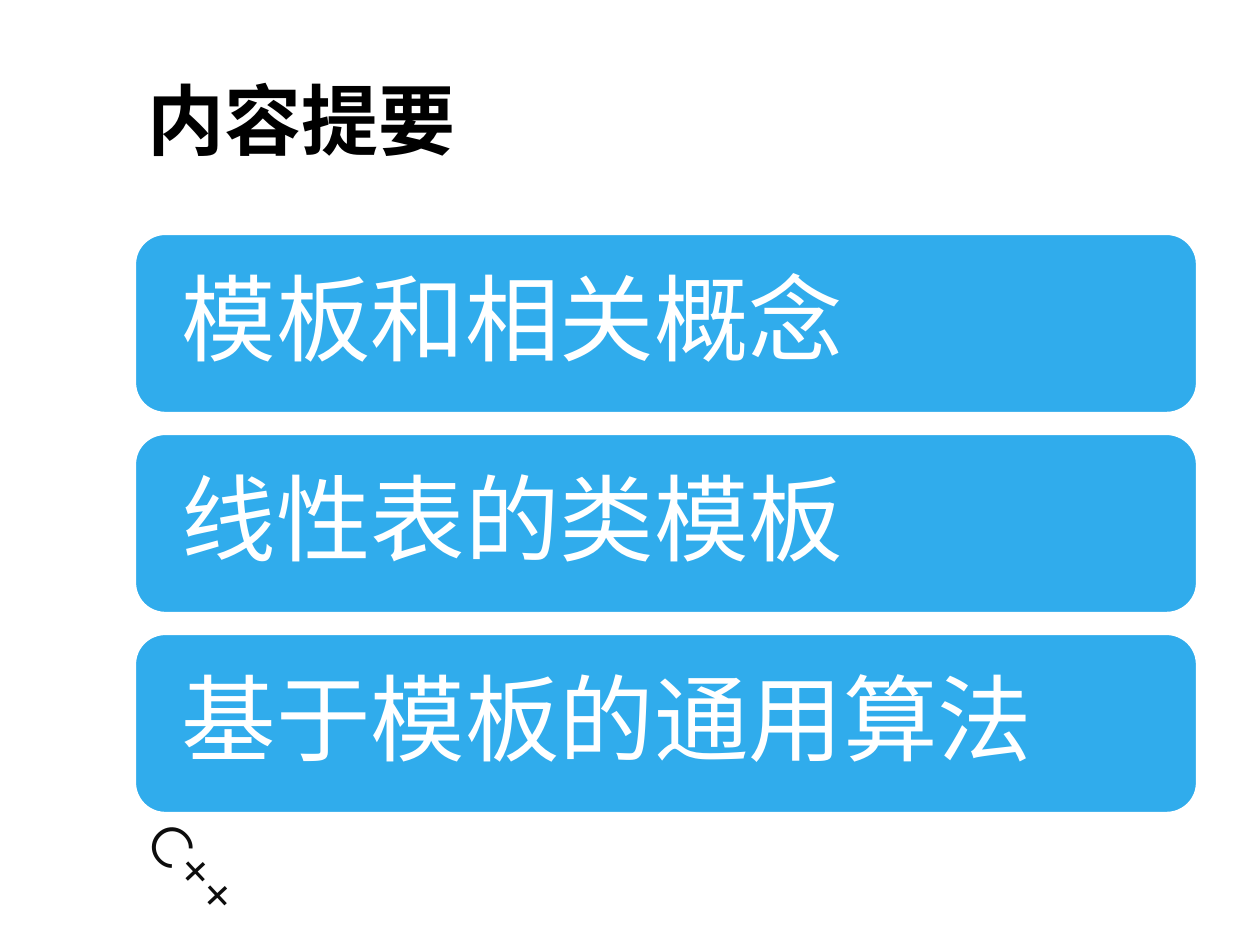
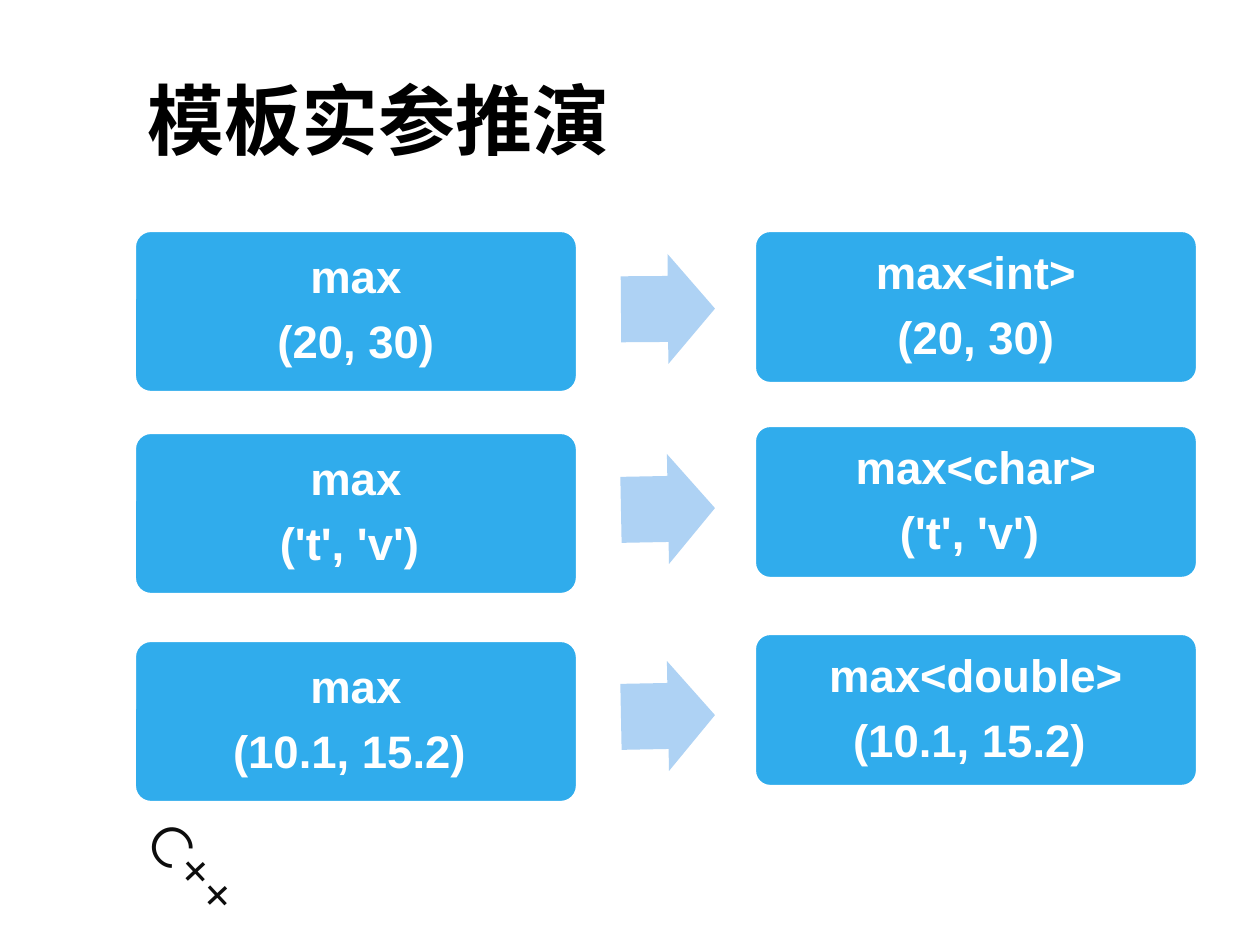
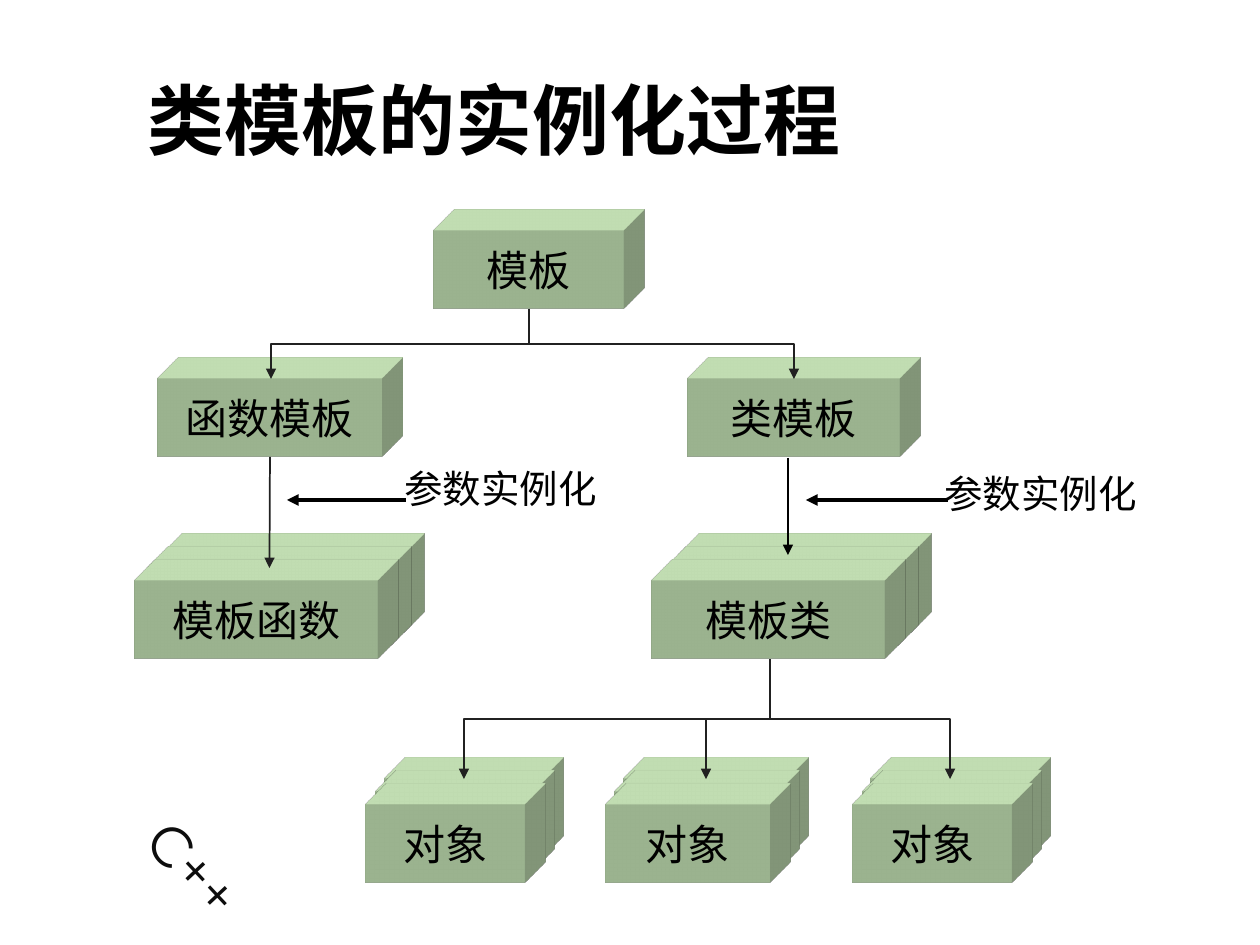
from pptx import Presentation
from pptx.dml.color import RGBColor
from pptx.enum.shapes import MSO_CONNECTOR, MSO_SHAPE
from pptx.enum.text import MSO_ANCHOR, PP_ALIGN
from pptx.oxml import parse_xml
from pptx.oxml.ns import nsdecls
from pptx.util import Emu, Pt

PX_PER_INCH = 126
BLACK, WHITE, INK, WIRE = "000000", "FFFFFF", "0D0D0D", "212121"
BLUE, PALE_BLUE, GREEN = "30ACEC", "AED2F4", "DCFDCB"
BLOCK_HEIGHT = 78


def px(length):
    """Turn pixels into EMU."""
    return Emu(round(length * 914400 / PX_PER_INCH))


def color(value):
    """Turn a hex string into a colour."""
    return RGBColor.from_string(value)


def write(shape, lines, size, ink=BLACK, font="Arial", bold=False, align=None,
          anchor=MSO_ANCHOR.TOP, wrap=True, inset=None, spacing=None, after=None):
    """Write one paragraph for each line into a shape."""
    frame = shape.text_frame
    frame.word_wrap = wrap
    frame.vertical_anchor = anchor
    if inset is not None:
        frame.margin_left = frame.margin_right = px(inset)
        frame.margin_top = frame.margin_bottom = px(inset)
    for index, line in enumerate(lines):
        para = frame.add_paragraph() if index else frame.paragraphs[0]
        para.alignment = align
        para.line_spacing = spacing
        para.space_after = after
        span = para.add_run()
        span.text = line
        span.font.name = font
        span.font.size = Pt(size)
        span.font.bold = bold
        span.font.color.rgb = color(ink)


def add_text(page, left, top, width, height, text, size, **style):
    """Add a text box with one line."""
    box = page.shapes.add_textbox(px(left), px(top), px(width), px(height))
    write(box, [text], size, **style)
    return box


def add_figure(page, kind, left, top, width, height, fill, line=None):
    """Add a filled preset shape."""
    shape = page.shapes.add_shape(kind, px(left), px(top), px(width), px(height))
    shape.shadow.inherit = False
    shape.fill.solid()
    shape.fill.fore_color.rgb = color(fill)
    if line:
        shape.line.color.rgb = color(line)
        shape.line.width = Pt(1.25)
    else:
        shape.line.fill.background()
    return shape


def start_page(deck, title):
    """Add a page with its title and the tilted course mark."""
    page = deck.slides.add_slide(deck.slide_layouts[6])
    mark = add_text(page, 118, 854, 203, 81, "C++", 32, ink=INK, font="Montserrat")
    mark.rotation = 46.9
    add_text(page, 135, 36, 1062, 166, title, 44, bold=True, anchor=MSO_ANCHOR.MIDDLE)
    return page


def add_card(page, left, top, width, height, lines, size, inset, corner, after, **style):
    """Add a blue rounded card."""
    card = add_figure(page, MSO_SHAPE.ROUNDED_RECTANGLE, left, top, width, height, BLUE, WHITE)
    card.adjustments[0] = corner
    write(card, lines, size, ink=WHITE, inset=inset, spacing=0.9, after=Pt(after),
          anchor=MSO_ANCHOR.MIDDLE, **style)


def add_call_card(page, left, top, height, lines):
    """Add a card that shows a function call."""
    add_card(page, left, top, 442, height, lines, 26, 19, 0.1, 9,
             bold=True, align=PP_ALIGN.CENTER)


def extrude(shape):
    """Give a shape depth toward the top right."""
    properties = shape._element.spPr
    properties.append(parse_xml(
        f'<a:scene3d {nsdecls("a")}><a:camera prst="legacyObliqueTopRight"/>'
        '<a:lightRig rig="legacyFlat3" dir="r"/></a:scene3d>'))
    properties.append(parse_xml(
        f'<a:sp3d {nsdecls("a")} extrusionH="430200" prstMaterial="legacyMatte">'
        '<a:bevelT w="13500" h="13500" prst="angle"/>'
        '<a:bevelB w="13500" h="13500" prst="angle"/>'
        f'<a:extrusionClr><a:srgbClr val="{GREEN}"/></a:extrusionClr></a:sp3d>'))


def add_stack(page, left, top, width, text, layers=1, shift=0):
    """Add solid blocks one behind another and return them from back to front."""
    blocks = []
    for depth in reversed(range(layers)):
        block = add_figure(page, MSO_SHAPE.RECTANGLE, left + depth * shift,
                           top - depth * 13, width, BLOCK_HEIGHT, GREEN)
        extrude(block)
        blocks.append(block)
    write(blocks[-1], [text], 24, align=PP_ALIGN.CENTER, anchor=MSO_ANCHOR.MIDDLE, wrap=False)
    return blocks


def add_wire(page, kind, start, end, ink, weight):
    """Add a connector with an arrowhead at its end."""
    wire = page.shapes.add_connector(kind, *map(px, start + end))
    wire.line.color.rgb = color(ink)
    wire.line.width = Pt(weight)
    wire.line._get_or_add_ln().append(parse_xml(f'<a:tailEnd {nsdecls("a")} type="triangle"/>'))
    wire._element.spPr.append(parse_xml(f'<a:effectLst {nsdecls("a")}/>'))
    return wire


def add_branch(page, start, end):
    """Add an elbow that leaves downward and arrives downward."""
    middle_x, middle_y = (start[0] + end[0]) / 2, (start[1] + end[1]) / 2
    half_drop, half_run = (end[1] - start[1]) / 2, abs(end[0] - start[0]) / 2
    side = 1 if end[0] > start[0] else -1
    wire = add_wire(page, MSO_CONNECTOR.ELBOW,
                    (middle_x + side * half_drop, middle_y - half_run),
                    (middle_x - side * half_drop, middle_y + half_run), WIRE, 1)
    wire.rotation = 270 if side > 0 else 90


def build_outline(deck):
    """Build the page with the three topics."""
    page = start_page(deck, "内容提要")
    topics = ["模板和相关概念", "线性表的类模板", "基于模板的通用算法"]
    for row, topic in enumerate(topics):
        add_card(page, 135, 234 + row * 200, 1062, 179, [topic], 54, 38, 0.17, 19)


def build_deduction(deck):
    """Build the page that maps calls to template instances."""
    page = start_page(deck, "模板实参推演")
    rows = [
        (231, 231, 254, 359.6, "int", "(20, 30)"),
        (433, 426, 454, 358.9, "char", "('t', 'v') "),
        (641, 634, 661, 358.9, "double", "(10.1, 15.2) "),
    ]
    for call_top, instance_top, arrow_top, tilt, kind, arguments in rows:
        add_call_card(page, 135, call_top, 161, ["max", arguments])
        arrow = add_figure(page, MSO_SHAPE.RIGHT_ARROW, 621, arrow_top, 94, 110, PALE_BLUE)
        arrow.adjustments[0], arrow.adjustments[1] = 0.6, 0.5
        arrow.rotation = tilt
        add_call_card(page, 755, instance_top, 152, [f"max<{kind}>", arguments])


def build_instantiation(deck):
    """Build the tree from template to objects."""
    page = start_page(deck, "类模板的实例化过程")
    add_stack(page, 434, 231, 190, "模板")
    function_template = add_stack(page, 158, 379, 224, "函数模板")[0]
    add_stack(page, 688, 379, 212, "类模板")
    functions = add_stack(page, 135, 581, 243, "模板函数", 3, 13)
    add_stack(page, 652, 581, 233, "模板类", 3, 13)
    for left, width in [(366, 159), (606, 164), (853, 159)]:
        add_stack(page, left, 805, width, "对象", 3, 9)

    for target in (271, 794):
        add_branch(page, (529, 309), (target, 379))
    for target in (464, 706, 950):
        add_branch(page, (770, 659), (target, 779))

    straight = MSO_CONNECTOR.STRAIGHT
    link = add_wire(page, straight, (270, 458), (270, 568), WIRE, 1)
    link.begin_connect(function_template, 2)
    link.end_connect(functions[1], 0)
    add_wire(page, straight, (788, 458), (788, 555), BLACK, 0.75)
    for left, top, start, end in [(392, 459, 406, 287), (932, 464, 948, 806)]:
        add_text(page, left, top, 258, 59, "参数实例化", 22)
        add_wire(page, straight, (start, 500), (end, 500), BLACK, 2.25)


def main():
    """Build the deck and save it."""
    deck = Presentation()
    deck.slide_width, deck.slide_height = px(1260), px(945)
    build_outline(deck)
    build_deduction(deck)
    build_instantiation(deck)
    deck.save("out.pptx")


if __name__ == "__main__":
    main()
